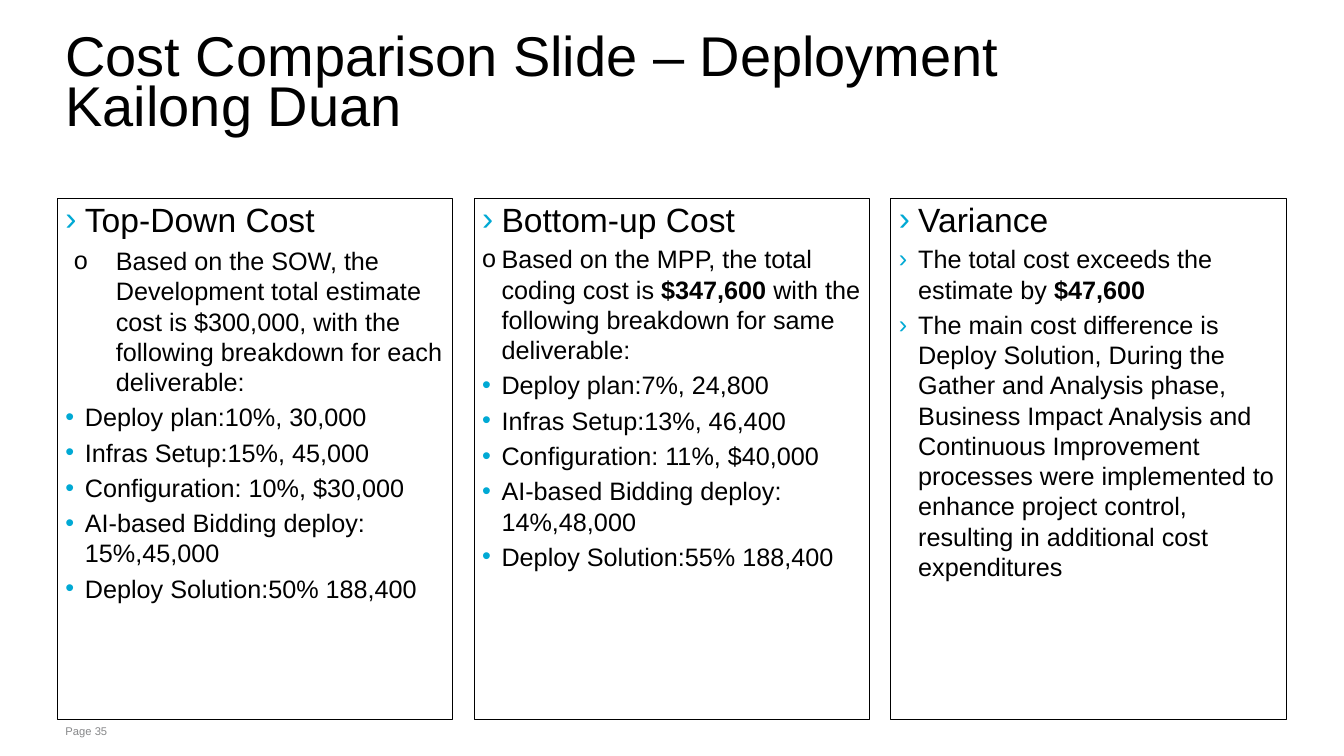
import pptx
import pptx.util
import pptx.dml.color
import pptx.enum.text
import pptx.oxml.ns
import lxml.etree

Cm, Pt = pptx.util.Cm, pptx.util.Pt

HEADLINE = "Cost Comparison Slide – Deployment Kailong Duan"
PAGE_LABEL = "Page 35"
COLUMNS = [
    [
        ("heading", ["Top-Down Cost"]),
        ("indented", ["Based on the SOW, the Development total estimate cost is $300,000, "
                      "with the following breakdown for each deliverable:"]),
        ("item", ["Deploy plan:10%, 30,000"]),
        ("item", ["Infras Setup:15%, 45,000"]),
        ("item", ["Configuration: 10%, $30,000"]),
        ("item", ["AI-based Bidding deploy: 15%,45,000"]),
        ("item", ["Deploy Solution:50% 188,400"]),
    ],
    [
        ("heading", ["Bottom-up Cost"]),
        ("basis", ["Based on the MPP, the total coding cost is", " $347,600 ",
                   "with the following breakdown for same deliverable:"]),
        ("item", ["Deploy plan:7%, 24,800"]),
        ("item", ["Infras Setup:13%, 46,400"]),
        ("item", ["Configuration: 11%, $40,000"]),
        ("item", ["AI-based Bidding deploy: 14%,48,000"]),
        ("item", ["Deploy Solution:55% 188,400"]),
    ],
    [
        ("heading", ["Variance"]),
        ("finding", ["The total cost exceeds the estimate by ", "$47,600"]),
        ("finding", ["The main cost difference is Deploy Solution, During the Gather and "
                     "Analysis phase, Business Impact Analysis and Continuous Improvement "
                     "processes were implemented to enhance project control, resulting in "
                     "additional cost expenditures"]),
    ],
]

BLACK, CYAN, GREY = "000000", "00A9D4", "87888A"
STYLES = {
    "heading": dict(size=24, bullet="›", tint=CYAN, margin=0.49, hang=0.49, before=4.8),
    "finding": dict(size=18, bullet="›", tint=CYAN, margin=0.49, hang=0.49, before=3.6),
    "basis": dict(size=18, bullet="o", tint=BLACK, margin=0.49, hang=0.49, before=3.6),
    "indented": dict(size=18, bullet="o", tint=BLACK, margin=1.27, hang=1.06, before=4.8, level=1),
    "item": dict(size=18, bullet="•", tint=CYAN, margin=0.49, hang=0.5, before=3.6),
}
LEFT, TOP, WIDTH, HEIGHT, PITCH = 1.45, 5, 9.96, 13.13, 10.5


def color(value):
    return pptx.dml.color.RGBColor.from_string(value)


def place(part, left, top, width, height):
    part.left, part.top, part.width, part.height = Cm(left), Cm(top), Cm(width), Cm(height)


def set_frame(frame, anchor, inset=0):
    frame.word_wrap = True
    frame.auto_size = pptx.enum.text.MSO_AUTO_SIZE.NONE
    frame.vertical_anchor = anchor
    frame.margin_left = frame.margin_right = Cm(0.2)
    frame.margin_top = frame.margin_bottom = Cm(inset)


def set_font(paragraph, size, tint):
    paragraph.alignment = pptx.enum.text.PP_ALIGN.LEFT
    paragraph.font.name = "Arial"
    paragraph.font.size = Pt(size)
    paragraph.font.bold = False
    paragraph.font.color.rgb = color(tint)


def add_bullet(paragraph, style):
    qn = pptx.oxml.ns.qn
    properties = paragraph._p.get_or_add_pPr()
    properties.set("marL", str(Cm(style["margin"])))
    properties.set("indent", str(-Cm(style["hang"])))
    tint = lxml.etree.SubElement(properties, qn("a:buClr"))
    lxml.etree.SubElement(tint, qn("a:srgbClr"), val=style["tint"])
    lxml.etree.SubElement(properties, qn("a:buFont"), typeface="Arial")
    lxml.etree.SubElement(properties, qn("a:buChar"), char=style["bullet"])


def fill_column(column, entries):
    set_frame(column.text_frame, pptx.enum.text.MSO_ANCHOR.TOP)
    for number, (kind, pieces) in enumerate(entries):
        frame = column.text_frame
        paragraph = frame.add_paragraph() if number else frame.paragraphs[0]
        style = STYLES[kind]
        paragraph.level = style.get("level", 0)
        add_bullet(paragraph, style)
        paragraph.space_before = Pt(style["before"])
        set_font(paragraph, style["size"], BLACK)
        for position, piece in enumerate(pieces):
            run = paragraph.add_run()
            run.text = piece
            if position == 1:
                run.font.bold = True


def main():
    deck = pptx.Presentation()
    deck.slide_width, deck.slide_height = Cm(33.87), Cm(19.05)
    slide = deck.slides.add_slide(deck.slide_layouts.get_by_name("Comparison"))
    title, *columns, spare = slide.placeholders
    spare._element.getparent().remove(spare._element)

    place(title, LEFT, 0.66, 27.76, 3.02)
    set_frame(title.text_frame, pptx.enum.text.MSO_ANCHOR.MIDDLE)
    title.text_frame.text = HEADLINE
    headline = title.text_frame.paragraphs[0]
    headline.line_spacing = 0.75
    set_font(headline, 40, BLACK)

    for index, (column, entries) in enumerate(zip(columns, COLUMNS)):
        place(column, LEFT + index * PITCH, TOP, WIDTH, HEIGHT)
        column.line.color.rgb = color(BLACK)
        column.line.width = Pt(0.75)
        fill_column(column, entries)

    page = slide.shapes.add_textbox(Cm(LEFT), Cm(TOP + HEIGHT), Cm(27.4), Cm(0.6))
    set_frame(page.text_frame, pptx.enum.text.MSO_ANCHOR.TOP, 0.13)
    page.text_frame.text = PAGE_LABEL
    set_font(page.text_frame.paragraphs[0], 8, GREY)

    deck.save("out.pptx")


if __name__ == "__main__":
    main()
